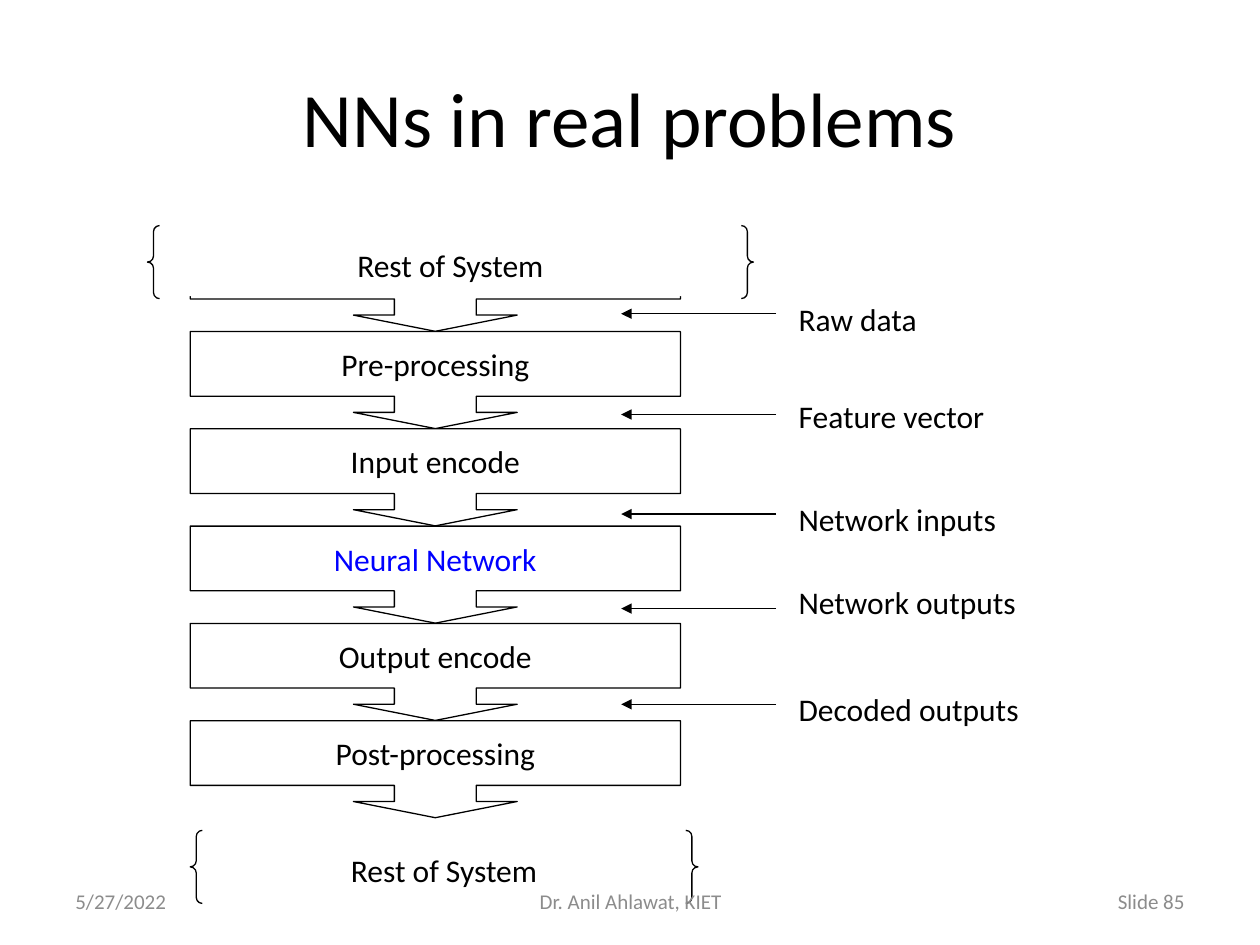
from lxml import etree
from pptx import Presentation
from pptx.dml.color import RGBColor
from pptx.enum.shapes import MSO_CONNECTOR as Connector, MSO_SHAPE as Shape
from pptx.enum.text import MSO_ANCHOR as Anchor, MSO_AUTO_SIZE as AutoSize, PP_ALIGN as Align
from pptx.oxml.ns import qn
from pptx.util import Inches, Pt

BLACK = RGBColor(0, 0, 0)
WHITE = RGBColor(255, 255, 255)
BLUE = RGBColor(0, 0, 255)
GRAY = RGBColor(0x8C, 0x8C, 0x8C)

FONT = "Calibri"
STAGE_LEFT, STAGE_TOP = 1.51, 1.86
STAGE_WIDTH, STAGE_HEIGHT = 3.89, 0.77
STAGE_PITCH = 0.772

# The first stage lies behind the "Rest of System" block, so it has no text
STAGES = [
    ("", BLACK),
    ("Pre-processing", BLACK),
    ("Input encode", BLACK),
    ("Neural Network", BLUE),
    ("Output encode", BLACK),
    ("Post-processing", BLACK),
]

# Label, arrow height, label top, label width
DATA_LABELS = [
    ("Raw data", 2.49, 2.33, 1.14),
    ("Feature vector", 3.29, 3.10, 1.69),
    ("Network inputs", 4.08, 3.92, 1.78),
    ("Network outputs", 4.83, 4.58, 1.94),
    ("Decoded outputs", 5.59, 5.43, 1.97),
]

# Text, left, width, alignment
FOOTERS = [
    ("5/27/2022", 0.5, 2.33, Align.LEFT),
    ("Dr. Anil Ahlawat, KIET", 3.42, 3.17, Align.CENTER),
    ("Slide 85", 7.17, 2.33, Align.RIGHT),
]


def write_text(shape, text, size, color, align, anchor=Anchor.MIDDLE, wrap=True):
    frame = shape.text_frame
    frame.word_wrap = wrap
    frame.vertical_anchor = anchor
    paragraph = frame.paragraphs[0]
    paragraph.text = text
    paragraph.alignment = align
    paragraph.font.name = FONT
    paragraph.font.size = Pt(size)
    paragraph.font.color.rgb = color


def add_text(slide, text, left, top, width, height, size, color, align, **options):
    box = slide.shapes.add_textbox(
        Inches(left), Inches(top), Inches(width), Inches(height))
    write_text(box, text, size, color, align, **options)
    return box


def add_block(slide, kind, left, top, width, height, fill=None, line=BLACK,
              adjustments=(), text="", color=BLACK):
    shape = slide.shapes.add_shape(
        kind, Inches(left), Inches(top), Inches(width), Inches(height))
    shape.shadow.inherit = False
    for index, value in enumerate(adjustments):
        shape.adjustments[index] = value
    if fill is None:
        shape.fill.background()
    else:
        shape.fill.solid()
        shape.fill.fore_color.rgb = fill
    if line is None:
        shape.line.fill.background()
    else:
        shape.line.color.rgb = line
        shape.line.width = Pt(0.75)
    if text:
        write_text(shape, text, 18, color, Align.CENTER, wrap=False)


def add_braces(slide, left, top, width):
    add_block(slide, Shape.DOUBLE_BRACE, left, top, width, 0.58,
              adjustments=[0.083], text="Rest of System")


def add_arrow(slide, start, end, y):
    arrow = slide.shapes.add_connector(
        Connector.STRAIGHT, Inches(start), Inches(y), Inches(end), Inches(y))
    arrow.line.color.rgb = BLACK
    arrow.line.width = Pt(0.75)
    line = arrow.line._get_or_add_ln()
    etree.SubElement(line, qn("a:tailEnd"), type="triangle")
    etree.SubElement(arrow._element.spPr, qn("a:effectLst"))


def add_data_label(slide, text, arrow_y, top, width):
    add_arrow(slide, 6.16, 4.93, arrow_y)
    label = add_text(slide, text, 6.24, top, width, 0.4, 18, BLACK, Align.LEFT,
                     anchor=Anchor.TOP, wrap=False)
    label.text_frame.auto_size = AutoSize.SHAPE_TO_FIT_TEXT


def main():
    presentation = Presentation()
    presentation.slide_width = Inches(10)
    presentation.slide_height = Inches(7.5)
    slide = presentation.slides.add_slide(presentation.slide_layouts[6])

    # Title
    add_text(slide, "NNs in real problems", 0.5, 0.3, 9, 1.25, 44, BLACK, Align.CENTER)

    # Processing stages
    for index, (text, color) in enumerate(STAGES):
        add_block(slide, Shape.DOWN_ARROW_CALLOUT,
                  STAGE_LEFT, STAGE_TOP + index * STAGE_PITCH,
                  STAGE_WIDTH, STAGE_HEIGHT, fill=WHITE,
                  adjustments=[0.844, 0.844, 0.167, 0.667], text=text, color=color)

    # Surrounding system, above and below the stages
    add_block(slide, Shape.RECTANGLE, 1.36, 1.67, 4.47, 0.68, fill=WHITE, line=None)
    add_braces(slide, 1.17, 1.79, 4.81)
    add_braces(slide, 1.51, 6.59, 4.03)

    # Data passed between the stages
    for data_label in DATA_LABELS:
        add_data_label(slide, *data_label)

    # Footer
    for text, left, width, align in FOOTERS:
        add_text(slide, text, left, 6.95, width, 0.4, 12, GRAY, align)

    presentation.save("out.pptx")


if __name__ == "__main__":
    main()
